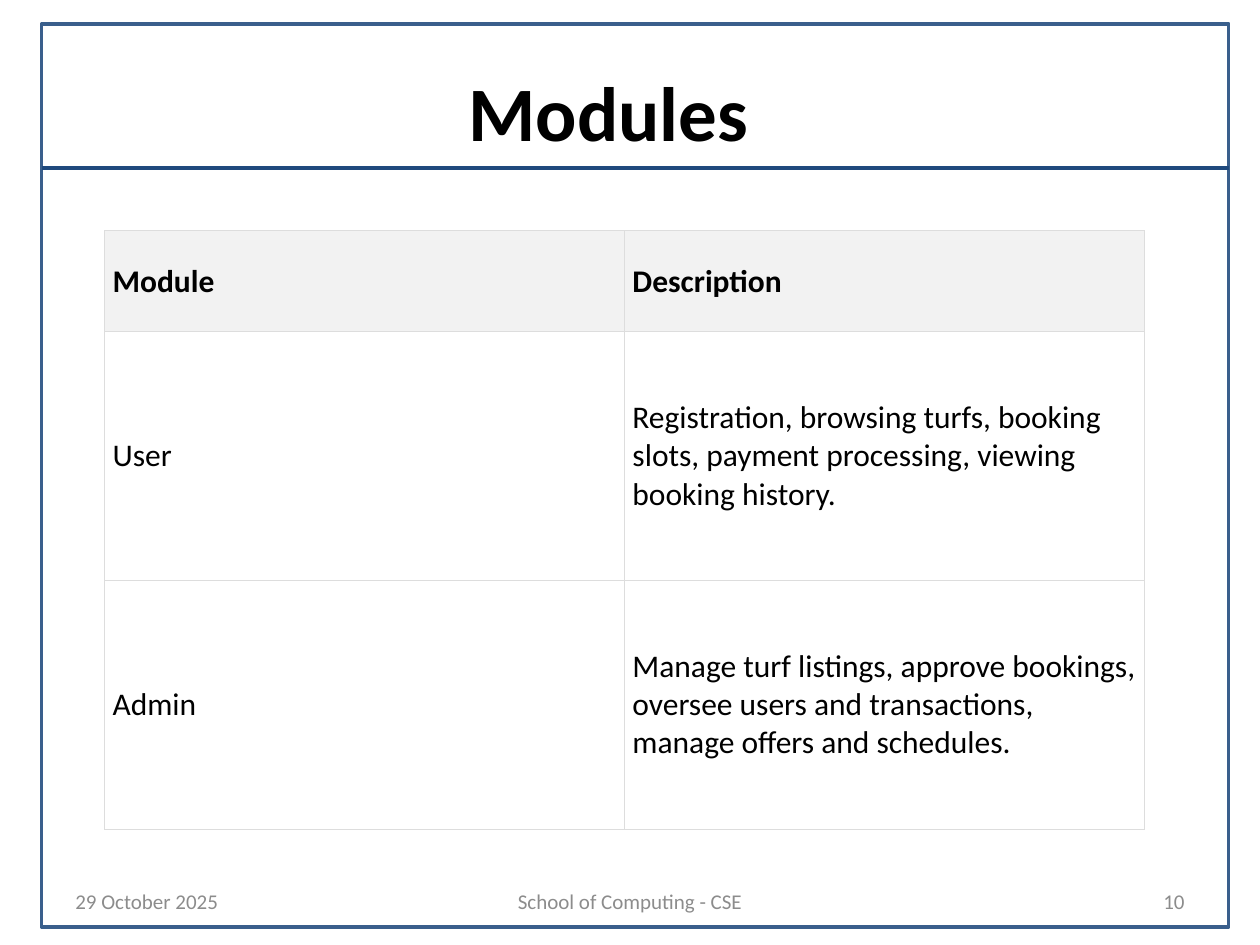
from dataclasses import dataclass

from lxml import etree
from pptx import Presentation
from pptx.dml.color import RGBColor
from pptx.enum.shapes import MSO_CONNECTOR, MSO_SHAPE
from pptx.enum.text import MSO_ANCHOR, PP_ALIGN
from pptx.oxml import parse_xml
from pptx.oxml.ns import nsdecls, qn
from pptx.util import Cm, Pt

RECTANGLE = MSO_SHAPE.RECTANGLE
STRAIGHT = MSO_CONNECTOR.STRAIGHT
MIDDLE = MSO_ANCHOR.MIDDLE
LEFT, CENTER, RIGHT = PP_ALIGN.LEFT, PP_ALIGN.CENTER, PP_ALIGN.RIGHT
TITLE_ONLY = 5


@dataclass(frozen=True)
class Theme:
    """Colours, font and type sizes of the slide."""
    font: str = "Calibri"
    ink: str = "000000"
    muted: str = "8C8C8C"
    frame: str = "3A5F8C"
    rule: str = "1F497D"
    header: str = "F2F2F2"
    grid: str = "DDDDDD"
    title_size: float = 44
    body_size: float = 18
    footer_size: float = 12
    line_width: float = 2
    grid_width: float = 0.5


@dataclass(frozen=True)
class Box:
    """A region of the slide in centimetres."""
    left: float
    top: float
    width: float
    height: float

    def lengths(self):
        """Return the region as slide lengths."""
        return Cm(self.left), Cm(self.top), Cm(self.width), Cm(self.height)


THEME = Theme()
FRAME = Box(0.84, 0.48, 23.93, 18.21)
TITLE = Box(0.84, 0.64, 22.86, 3.18)
MODULES = Box(2.11, 4.65, 20.96, 12.06)
FOOTER = Box(1.27, 17.65, 22.86, 1.02)
MODULE_ROWS = [
    ("Module", "Description"),
    ("User", "Registration, browsing turfs, booking slots, payment processing, "
             "viewing booking history."),
    ("Admin", "Manage turf listings, approve bookings, oversee users and "
              "transactions, manage offers and schedules."),
]


def style(paragraph, size, color, bold=False, align=LEFT):
    """Format one paragraph."""
    paragraph.alignment = align
    font = paragraph.font
    font.name, font.size, font.bold = THEME.font, Pt(size), bold
    font.color.rgb = RGBColor.from_string(color)


def draw_line(line, color):
    """Give an outline or connector its colour and the theme width."""
    line.color.rgb = RGBColor.from_string(color)
    line.width = Pt(THEME.line_width)


def add_frame(slide, box, rule_drop):
    """Draw the border and the rule below the title."""
    border = slide.shapes.add_shape(RECTANGLE, *box.lengths())
    border.shadow.inherit = False
    border.fill.background()
    draw_line(border.line, THEME.frame)
    rule_y = Cm(box.top + rule_drop)
    rule = slide.shapes.add_connector(
        STRAIGHT, Cm(box.left), rule_y, Cm(box.left + box.width), rule_y)
    draw_line(rule.line, THEME.rule)
    etree.SubElement(rule._element.spPr, qn("a:effectLst"))


def add_title(slide, box, heading):
    """Place the heading in the title placeholder."""
    title = slide.shapes.title
    title.left, title.top, title.width, title.height = box.lengths()
    title.text_frame.text = heading
    title.text_frame.vertical_anchor = MIDDLE
    style(title.text_frame.paragraphs[0], THEME.title_size, THEME.ink, True, CENTER)


def add_footer(slide, box, date, school, number):
    """Place date, school and slide number along the footer."""
    side, middle = 5.92, 8.05
    parts = [
        (date, 0, side, LEFT),
        (school, (box.width - middle) / 2, middle, CENTER),
        (number, box.width - side, side, RIGHT),
    ]
    for wording, offset, width, align in parts:
        region = Box(box.left + offset, box.top, width, box.height)
        frame = slide.shapes.add_textbox(*region.lengths()).text_frame
        frame.word_wrap = True
        frame.vertical_anchor = MIDDLE
        frame.text = wording
        style(frame.paragraphs[0], THEME.footer_size, THEME.muted, align=align)


def set_borders(cell):
    """Draw the thin grid line on all four sides of a cell."""
    properties = cell._tc.get_or_add_tcPr()
    for position, side in enumerate("LRTB"):
        properties.insert(position, parse_xml(
            f'<a:ln{side} {nsdecls("a")} w="{Pt(THEME.grid_width)}"><a:solidFill>'
            f'<a:srgbClr val="{THEME.grid}"/></a:solidFill></a:ln{side}>'))


def add_modules(slide, box, rows, header_height=2.04):
    """Build the module table with a header row and equal body rows."""
    columns = len(rows[0])
    table = slide.shapes.add_table(len(rows), columns, *box.lengths()).table
    table.horz_banding = False
    for column in table.columns:
        column.width = Cm(box.width / columns)
    body_height = (box.height - header_height) / (len(rows) - 1)
    for index, entries in enumerate(rows):
        is_header = index == 0
        table.rows[index].height = Cm(header_height if is_header else body_height)
        for cell, entry in zip(table.rows[index].cells, entries):
            cell.text = entry
            cell.vertical_anchor = MIDDLE
            cell.margin_left = cell.margin_right = Cm(0.16)
            cell.margin_top = cell.margin_bottom = Cm(0.16)
            style(cell.text_frame.paragraphs[0], THEME.body_size, THEME.ink, is_header)
            if is_header:
                cell.fill.solid()
                cell.fill.fore_color.rgb = RGBColor.from_string(THEME.header)
            else:
                cell.fill.background()
            set_borders(cell)


def main():
    """Build and save the slide."""
    deck = Presentation()
    deck.slide_width, deck.slide_height = Cm(25.4), Cm(19.05)
    slide = deck.slides.add_slide(deck.slide_layouts[TITLE_ONLY])
    add_frame(slide, FRAME, 2.91)
    add_title(slide, TITLE, "Modules")
    add_footer(slide, FOOTER, "29 October 2025", "School of Computing - CSE", "10")
    add_modules(slide, MODULES, MODULE_ROWS)
    deck.save("out.pptx")


if __name__ == "__main__":
    main()
